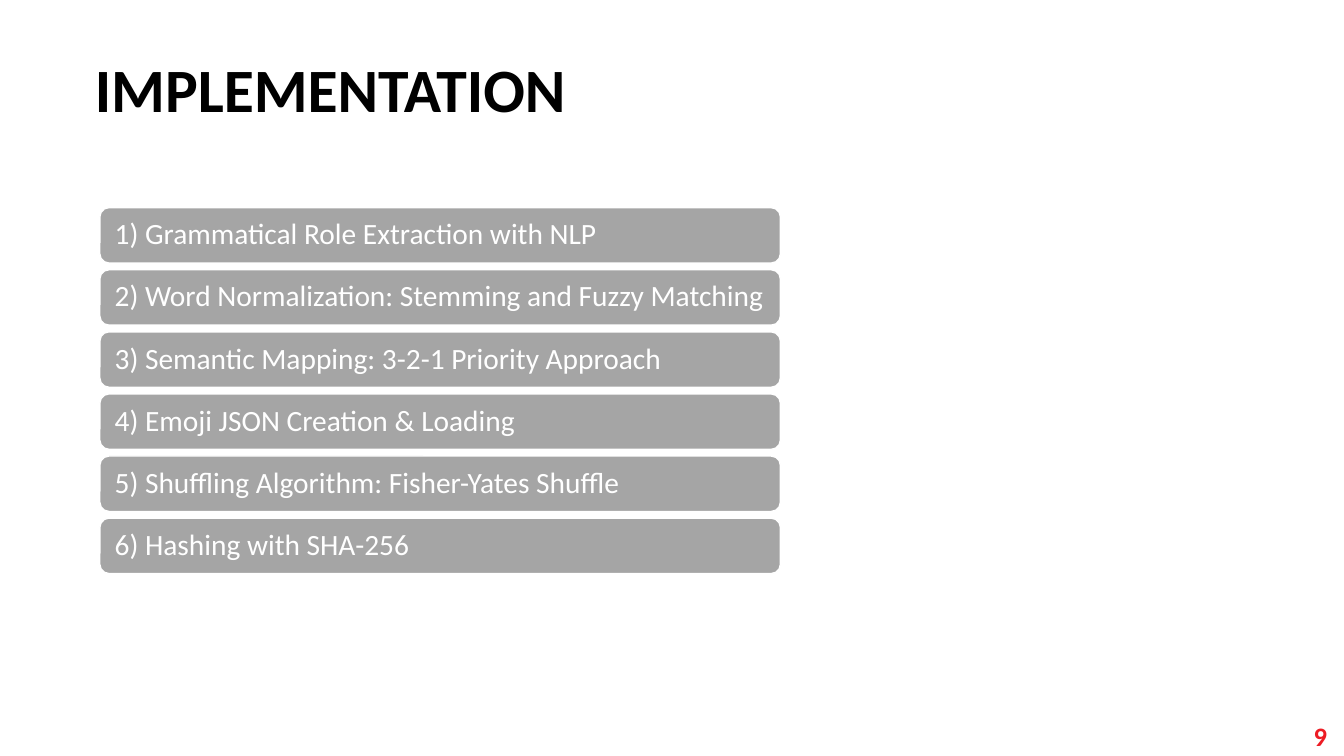
from pptx import Presentation
from pptx.dml.color import RGBColor
from pptx.enum.shapes import MSO_SHAPE
from pptx.enum.text import MSO_ANCHOR, MSO_AUTO_SIZE, PP_ALIGN
from pptx.util import Inches, Pt

ROUNDED = MSO_SHAPE.ROUNDED_RECTANGLE
MIDDLE, BOTTOM = MSO_ANCHOR.MIDDLE, MSO_ANCHOR.BOTTOM
LEFT, RIGHT = PP_ALIGN.LEFT, PP_ALIGN.RIGHT
NO_AUTOFIT = MSO_AUTO_SIZE.NONE

TITLE_BOX = (0.84, 0.63, 5.17, 0.67)
STEPS_BOX = (0.99, 2.06, 6.75, 3.63)
NUMBER_BOX = (12.45, 7.12, 0.81, 0.4)
BAR_HEIGHT = 0.55
STEPS = [
    "Grammatical Role Extraction with NLP",
    "Word Normalization: Stemming and Fuzzy Matching",
    "Semantic Mapping: 3-2-1 Priority Approach",
    "Emoji JSON Creation & Loading",
    "Shuffling Algorithm: Fisher-Yates Shuffle",
    "Hashing with SHA-256",
]


def color(code):
    """Turn a hex string into a colour."""
    return RGBColor.from_string(code)


def write(shape, text, size, code, bold=False, align=LEFT, anchor=MIDDLE):
    """Set and format a single line of text in a shape."""
    frame = shape.text_frame
    frame.text = text
    frame.word_wrap = True
    frame.auto_size = NO_AUTOFIT
    frame.vertical_anchor = anchor
    para = frame.paragraphs[0]
    para.alignment = align
    para.line_spacing = 0.9
    span = para.runs[0]
    span.font.name = "Calibri"
    span.font.size = Pt(size)
    span.font.bold = bold
    span.font.color.rgb = color(code)


def add_title(page, box, text):
    """Place the page title in the given box."""
    title = page.shapes.title
    title.left, title.top, title.width, title.height = map(Inches, box)
    write(title, text, 44, "000000", bold=True, anchor=BOTTOM)


def add_steps(page, box, steps):
    """Stack numbered bars evenly over the given box."""
    left, top, width, height = box
    pitch = (height - BAR_HEIGHT) / (len(steps) - 1)
    for index, step in enumerate(steps):
        bar = page.shapes.add_shape(
            ROUNDED, Inches(left), Inches(top + index * pitch),
            Inches(width), Inches(BAR_HEIGHT))
        bar.shadow.inherit = False
        bar.fill.solid()
        bar.fill.fore_color.rgb = color("A5A5A5")
        bar.line.color.rgb = color("FFFFFF")
        bar.line.width = Pt(1)
        write(bar, f"{index + 1}) {step}", 21, "FFFFFF")
        bar.text_frame.margin_left = Inches(0.12)
        bar.text_frame.margin_right = Inches(0.1)


def add_number(page, box, text):
    """Place the page number in the given box."""
    number = page.shapes.add_textbox(*map(Inches, box))
    write(number, text, 19, "ED1C24", bold=True, align=RIGHT)


def main():
    """Build the deck and save it."""
    deck = Presentation()
    deck.slide_width, deck.slide_height = Inches(13.33), Inches(7.5)
    page = deck.slides.add_slide(deck.slide_layouts.get_by_name("Title Only"))
    add_title(page, TITLE_BOX, "IMPLEMENTATION")
    add_steps(page, STEPS_BOX, STEPS)
    add_number(page, NUMBER_BOX, "9")
    deck.save("out.pptx")


if __name__ == "__main__":
    main()
